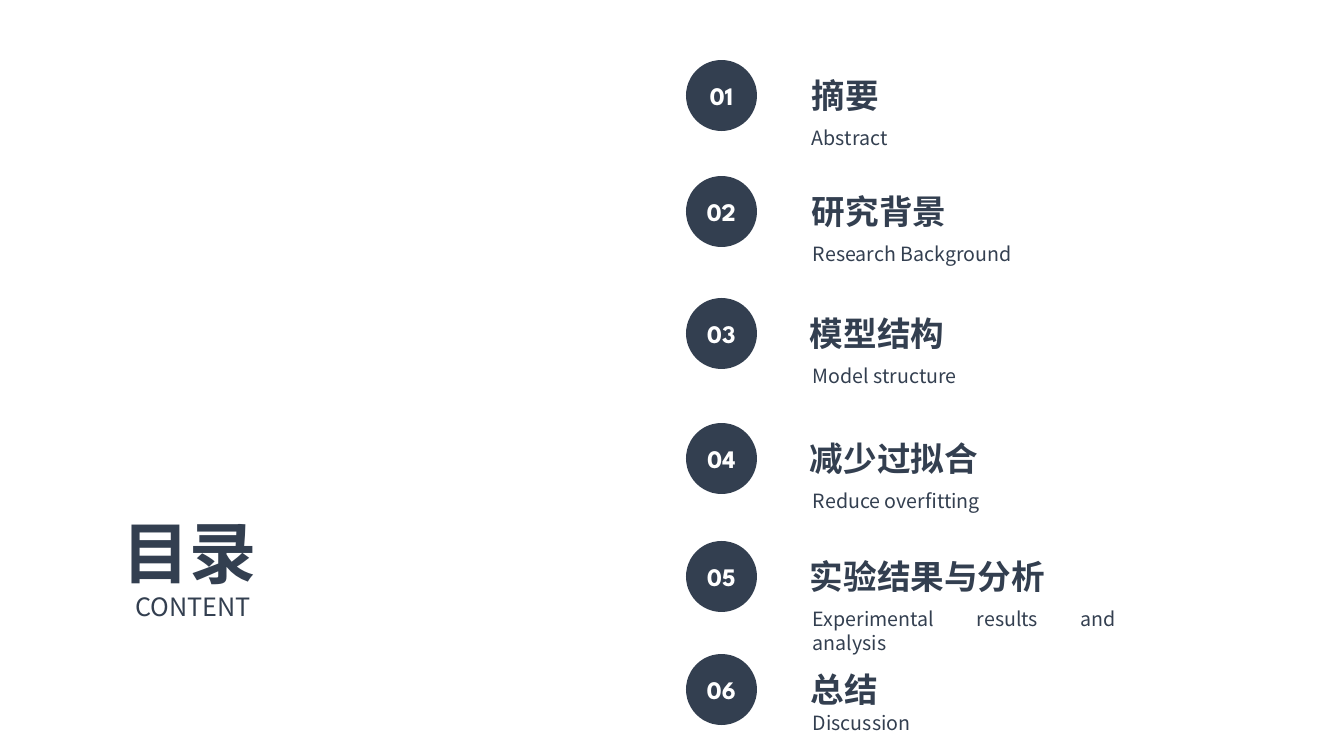
from pptx import Presentation
from pptx.dml.color import RGBColor
from pptx.enum.shapes import MSO_SHAPE
from pptx.enum.text import MSO_ANCHOR, MSO_AUTO_SIZE, PP_ALIGN
from pptx.oxml.ns import qn
from pptx.util import Pt
from lxml.etree import SubElement

NAVY, WHITE = "333F50", "FFFFFF"
SANS, NUMERAL = "Noto Sans CJK SC", "League Spartan"

TITLE, SUBTITLE = "目录", "CONTENT"
# heading, note, circle top, heading left, note left, note offset from circle top
CHAPTERS = [
    ("摘要", "Abstract", 60, 802, 802, 61),
    ("研究背景", "Research Background", 176, 802, 803, 61),
    ("模型结构", "Model structure", 298, 800, 803, 61),
    ("减少过拟合", "Reduce overfitting", 423, 800, 803, 61),
    ("实验结果与分析", "Experimental results and analysis", 541, 800, 803, 61),
    ("总结", "Discussion", 654, 801, 803, 52),
]
CIRCLE_LEFT, CIRCLE_SIZE = 686, 71
ENTRY_WIDTH, HEADING_HEIGHT, NOTE_HEIGHT, HEADING_OFFSET = 323, 50, 34, 10

TITLE_STYLE = dict(size=Pt(48), bold=True)
SUBTITLE_STYLE = dict(size=Pt(18), bold=False)
HEADING_STYLE = dict(size=Pt(24), bold=True)
NOTE_STYLE = dict(size=Pt(14), bold=False)
NUMBER_STYLE = dict(size=Pt(18), bold=True)


def px(n):
    return round(n * 914400 / 100.8)


def rgb(value):
    return RGBColor.from_string(value)


def place(sp, *box):
    sp.left, sp.top, sp.width, sp.height = map(px, box)


def write(sp, text, style, color=NAVY, face=SANS, align=PP_ALIGN.JUSTIFY,
          anchor=MSO_ANCHOR.TOP, fit=MSO_AUTO_SIZE.SHAPE_TO_FIT_TEXT):
    tf = sp.text_frame
    tf.word_wrap = True
    tf.auto_size = fit
    tf.vertical_anchor = anchor
    p = tf.paragraphs[0]
    p.alignment = align
    p.space_before = Pt(0)
    r = p.add_run()
    r.text = text
    for name, value in style.items():
        setattr(r.font, name, value)
    r.font.color.rgb = rgb(color)
    r.font.name = face
    SubElement(r.font._element, qn("a:ea"), typeface=face)


def add_text(slide, text, style, *box):
    sp = slide.shapes.add_textbox(*map(px, box))
    write(sp, text, style)


def add_number(slide, number, top):
    sp = slide.shapes.add_shape(
        MSO_SHAPE.OVAL, *map(px, (CIRCLE_LEFT, top, CIRCLE_SIZE, CIRCLE_SIZE)))
    sp.shadow.inherit = False
    sp.fill.solid()
    sp.fill.fore_color.rgb = rgb(NAVY)
    sp.line.fill.background()
    write(sp, f"{number:02d}", NUMBER_STYLE, WHITE, NUMERAL,
          PP_ALIGN.CENTER, MSO_ANCHOR.MIDDLE, MSO_AUTO_SIZE.NONE)


def main():
    prs = Presentation()
    prs.slide_width, prs.slide_height = px(1344), px(756)
    slide = prs.slides.add_slide(prs.slide_layouts[0])

    title, subtitle = slide.placeholders
    place(title, 112, 506, 256, 92)
    write(title, TITLE, TITLE_STYLE)
    place(subtitle, 125, 586, 230, 40)
    write(subtitle, SUBTITLE, SUBTITLE_STYLE)

    for number, chapter in enumerate(CHAPTERS, 1):
        heading, note, top, heading_left, note_left, note_offset = chapter
        add_number(slide, number, top)
        add_text(slide, heading, HEADING_STYLE, heading_left,
                 top + HEADING_OFFSET, ENTRY_WIDTH, HEADING_HEIGHT)
        add_text(slide, note, NOTE_STYLE, note_left,
                 top + note_offset, ENTRY_WIDTH, NOTE_HEIGHT)

    prs.save("out.pptx")


if __name__ == "__main__":
    main()
